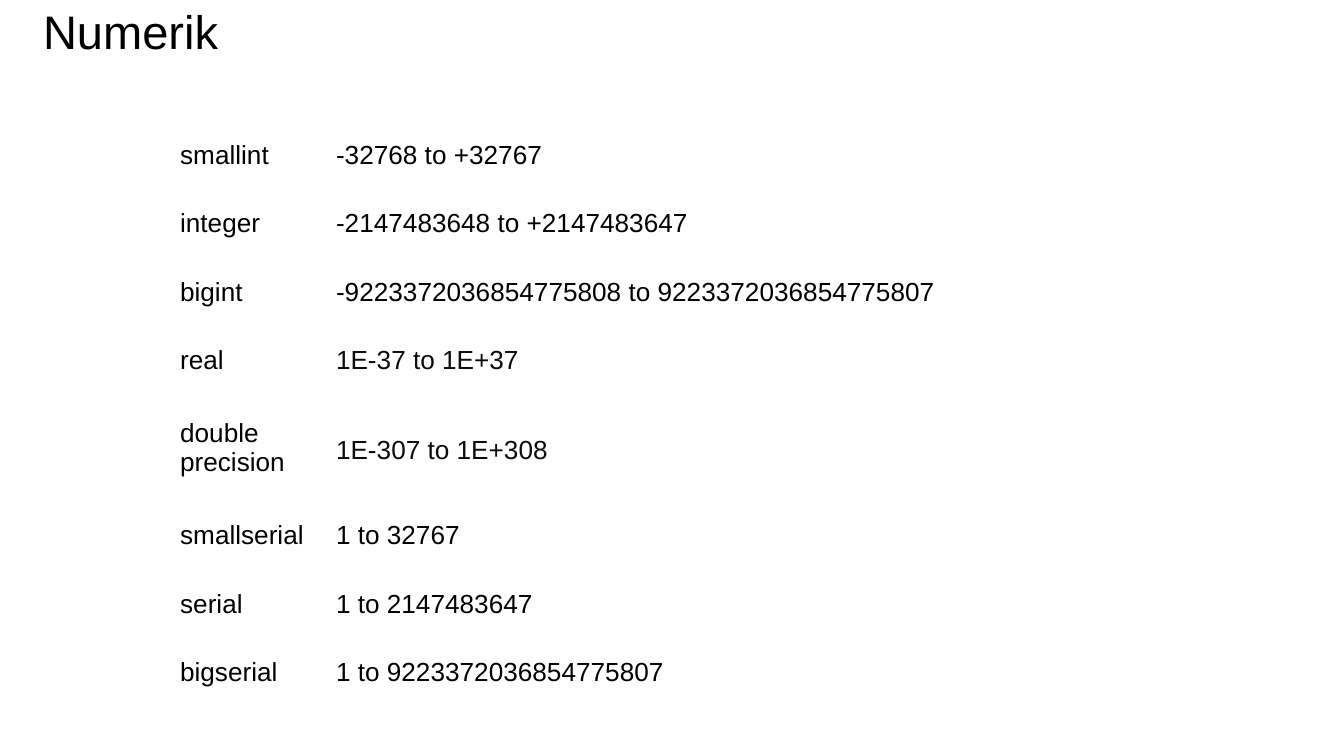
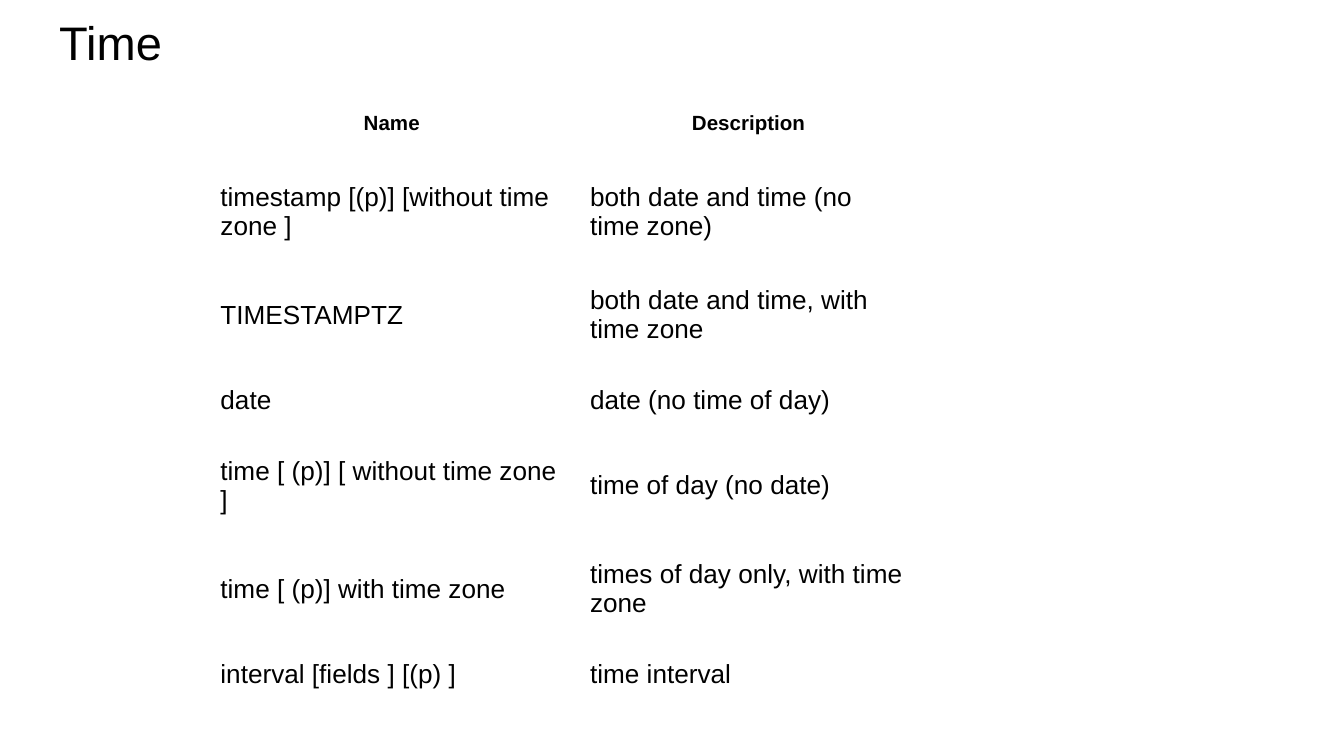
from dataclasses import dataclass

from pptx import Presentation
from pptx import util as u
from pptx.dml.color import RGBColor
from pptx.enum import text


@dataclass(frozen=True)
class Theme:
    """Colours, type sizes and spacing shared by the slides."""
    font: str = "Arial"
    ink: RGBColor = RGBColor(0x00, 0x00, 0x00)
    soft_ink: RGBColor = RGBColor(0x0D, 0x0A, 0x0B)
    paper: RGBColor = RGBColor(0xFF, 0xFF, 0xFF)
    title_size: float = 25.2
    body_size: float = 14
    header_size: float = 11
    inset: float = 0.1
    loose: float = 1.15


THEME = Theme()
TITLE_SIZE = (9.32, 0.63)

NUMERIC_TYPES = [
    ("smallint", "-32768 to +32767"),
    ("integer", "-2147483648 to +2147483647"),
    ("bigint", "-9223372036854775808 to 9223372036854775807"),
    ("real", "1E-37 to 1E+37"),
    ("double precision", "1E-307 to 1E+308"),
    ("smallserial", "1 to 32767"),
    ("serial", "1 to 2147483647"),
    ("bigserial", "1 to 9223372036854775807"),
]
TIME_HEADINGS = ("Name", "Description")
TIME_TYPES = [
    ("timestamp [(p)] [without time zone ]", "both date and time (no time zone)"),
    ("TIMESTAMPTZ", "both date and time, with time zone"),
    ("date", "date (no time of day)"),
    ("time [ (p)] [ without time zone ]", "time of day (no date)"),
    ("time [ (p)] with time zone", "times of day only, with time zone"),
    ("interval [fields ] [(p) ]", "time interval"),
]


def write(paragraph, words, size, color=THEME.ink, bold=False,
          align=text.PP_ALIGN.LEFT, spacing=1.0):
    """Add one formatted run to a paragraph."""
    paragraph.alignment = align
    paragraph.line_spacing = spacing
    run = paragraph.add_run()
    run.text = words
    run.font.name = THEME.font
    run.font.size = u.Pt(size)
    run.font.bold = bold
    run.font.color.rgb = color


def set_insets(holder):
    """Give a cell or text frame the shared inner margins."""
    for side in ("left", "top", "right", "bottom"):
        setattr(holder, f"margin_{side}", u.Inches(THEME.inset))


def add_titled_slide(deck, words, left, top):
    """Add a title-only slide with its title at the given corner."""
    slide = deck.slides.add_slide(deck.slide_layouts[5])
    slide.background.fill.solid()
    slide.background.fill.fore_color.rgb = THEME.paper
    title = slide.shapes.title
    title.left, title.top = u.Inches(left), u.Inches(top)
    title.width, title.height = map(u.Inches, TITLE_SIZE)
    frame = title.text_frame
    frame.word_wrap = True
    frame.auto_size = text.MSO_AUTO_SIZE.NONE
    frame.vertical_anchor = text.MSO_ANCHOR.TOP
    set_insets(frame)
    write(frame.paragraphs[0], words, THEME.title_size)
    return slide


def add_type_table(slide, left, top, widths, heights, entries, headings=None, accents=None):
    """Place a plain table of data types, with optional headings and accented entries."""
    rows = ([headings] if headings else []) + entries
    grid = slide.shapes.add_table(
        len(rows), len(widths), u.Inches(left), u.Inches(top),
        u.Inches(sum(widths)), u.Inches(sum(heights))).table
    grid.first_row = bool(headings)
    grid.horz_banding = False
    for column, width in zip(grid.columns, widths):
        column.width = u.Inches(width)
    for row, height, entry in zip(grid.rows, heights, rows):
        row.height = u.Inches(height)
        is_heading = entry is headings
        for cell, words in zip(row.cells, entry):
            cell.fill.background()
            set_insets(cell)
            paragraph = cell.text_frame.paragraphs[0]
            if is_heading:
                cell.vertical_anchor = text.MSO_ANCHOR.TOP
                write(paragraph, words, THEME.header_size, bold=True,
                      align=text.PP_ALIGN.CENTER, spacing=THEME.loose)
            else:
                cell.vertical_anchor = text.MSO_ANCHOR.MIDDLE
                write(paragraph, words, THEME.body_size, **(accents or {}).get(words, {}))


def add_numeric_slide(deck):
    """Build the slide of numeric types and their ranges."""
    slide = add_titled_slide(deck, "Numerik", 0.22, -0.08)
    heights = [0.79 if name == "double precision" else 0.51 for name, _ in NUMERIC_TYPES]
    accents = {
        "1E-37 to 1E+37": {"color": THEME.soft_ink},
        "1E-307 to 1E+308": {"color": THEME.soft_ink, "spacing": THEME.loose},
    }
    add_type_table(slide, 1.24, 0.9, (1.16, 5.18), heights, NUMERIC_TYPES, accents=accents)


def add_time_slide(deck):
    """Build the slide of date and time types."""
    slide = add_titled_slide(deck, "Time", 0.34, 0)
    one_line, two_lines = 0.5, 0.77
    heights = [0.48, two_lines, two_lines, one_line, two_lines, two_lines, one_line]
    add_type_table(slide, 1.54, 0.71, (2.75, 2.56), heights, TIME_TYPES, TIME_HEADINGS)


def main():
    """Build and save the presentation."""
    deck = Presentation()
    deck.slide_width = u.Inches(10)
    deck.slide_height = deck.slide_width * 9 // 16
    add_numeric_slide(deck)
    add_time_slide(deck)
    deck.save("out.pptx")


if __name__ == "__main__":
    main()
